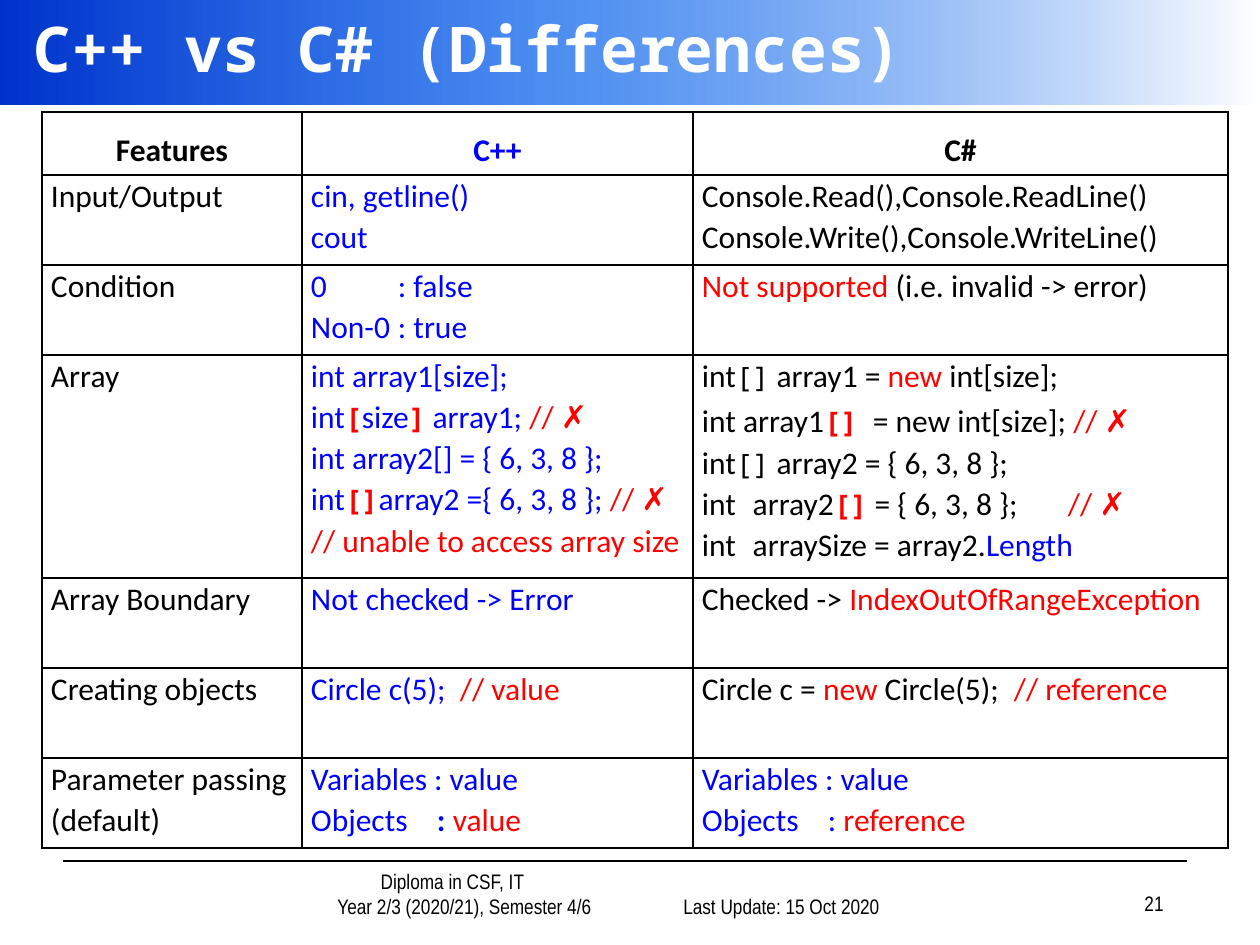
import pptx
import pptx.util
import pptx.dml.color
import pptx.enum.shapes
import pptx.enum.text
import pptx.oxml
import pptx.oxml.ns
from lxml import etree

Pt = pptx.util.Pt
RGB = pptx.dml.color.RGBColor
ALIGN = pptx.enum.text.PP_ALIGN
ANCHOR = pptx.enum.text.MSO_ANCHOR
qn = pptx.oxml.ns.qn
PX = 914400 // 126

BLACK = RGB(0, 0, 0)
WHITE = RGB(255, 255, 255)
BLUE = RGB(0, 0, 255)
RED = RGB(255, 0, 0)
NAVY = RGB(0, 0x33, 0xCC)
AZURE = RGB(0, 0x5E, 0xEB)

# Run styles: font, size, colour, bold
STYLES = {
    "K": ("Calibri", 18, BLACK, False),
    "B": ("Calibri", 18, BLUE, False),
    "R": ("Calibri", 18, RED, False),
    "KB": ("Calibri", 18, BLACK, True),
    "BB": ("Calibri", 18, BLUE, True),
    "K20": ("Calibri", 20, BLACK, False),
    "KM": ("Noto Sans Mono", 16, BLACK, False),
    "RM": ("Noto Sans Mono", 16, RED, True),
    "TITLE": ("Noto Sans Mono", 36, WHITE, True),
    "FOOT": ("Arial Narrow", 12, BLACK, False),
}


def write(para, parts):
    """Fill a paragraph with (style, text) runs."""
    for style, text in parts:
        run = para.add_run()
        run.text = text
        font = run.font
        font.name, size, font.color.rgb, font.bold = STYLES[style]
        font.size = Pt(size)


def label(box, lines, style, align, anchor):
    """Add a text box with one paragraph for each line."""
    frame = slide.shapes.add_textbox(*[n * PX for n in box]).text_frame
    frame.word_wrap = True
    frame.vertical_anchor = anchor
    for i, line in enumerate(lines):
        para = frame.paragraphs[0] if i == 0 else frame.add_paragraph()
        para.alignment = align
        write(para, [(style, line)])
    return frame


deck = pptx.Presentation()
deck.slide_width = 1260 * PX
deck.slide_height = 945 * PX
slide = deck.slides.add_slide(deck.slide_layouts[6])

# Title band
band = slide.shapes.add_shape(
    pptx.enum.shapes.MSO_SHAPE.RECTANGLE, 0, 0, 1260 * PX, 105 * PX)
band.shadow.inherit = False
band.line.fill.background()
band.fill.gradient()
band.fill.gradient_angle = 0
stops = band.fill._fill._gradFill.find(qn("a:gsLst"))
for old in list(stops):
    stops.remove(old)
for pos, color, alpha in [(0, NAVY, 100), (43, AZURE, 70), (100, WHITE, 100)]:
    stop = etree.SubElement(stops, qn("a:gs"), pos=str(pos * 1000))
    tint = etree.SubElement(stop, qn("a:srgbClr"), val=str(color))
    etree.SubElement(tint, qn("a:alpha"), val=str(alpha * 1000))
label((21, 0, 1239, 95), ["C++ vs C# (Differences)"], "TITLE", ALIGN.LEFT, ANCHOR.MIDDLE)

# Footer
rule = slide.shapes.add_connector(
    pptx.enum.shapes.MSO_CONNECTOR.STRAIGHT, 63 * PX, 861 * PX, 1187 * PX, 861 * PX)
rule.line.color.rgb = BLACK
rule.line.width = Pt(1)
etree.SubElement(rule._element.spPr, qn("a:effectLst"))
course = label((212, 872, 418, 53),
               ["Diploma in CSF, IT", "Year 2/3 (2020/21), Semester 4/6"],
               "FOOT", ALIGN.CENTER, ANCHOR.BOTTOM)
for para, indent in zip(course.paragraphs, (63, 87)):
    para._p.get_or_add_pPr().set("marL", str(indent * PX))
label((599, 872, 293, 53), ["Last Update: 15 Oct 2020"], "FOOT", ALIGN.RIGHT, ANCHOR.BOTTOM)
label((914, 869, 262, 53), ["21"], "FOOT", ALIGN.RIGHT, ANCHOR.BOTTOM)

# Table content: rows of cells, cells of lines, lines of runs
BAD = ("R", "// ✗")
ROWS = [
    [[[("KB", "Features")]], [[("BB", "C++")]], [[("KB", "C#")]]],
    [[[("K", "Input/Output")]],
     [[("B", "cin, getline()")], [("B", "cout")]],
     [[("K", "Console.Read(),Console.ReadLine()")],
      [("K", "Console.Write(),Console.WriteLine()")]]],
    [[[("K", "Condition")]],
     [[("B", "0\t: false")], [("B", "Non-0\t: true")]],
     [[("R", "Not supported "), ("K", "(i.e. invalid -> error)")]]],
    [[[("K", "Array")]],
     [[("B", "int array1[size];")],
      [("B", "int"), ("RM", "["), ("B", "size"), ("RM", "]"), ("B", " array1; "), BAD],
      [("B", "int array2[] = { 6, 3, 8 };")],
      [("B", "int"), ("RM", "[]"), ("B", "array2 ={ 6, 3, 8 }; "), BAD],
      [("R", "// unable to access array size")]],
     [[("K", "int"), ("KM", "[]"), ("K", " array1 = "), ("R", "new"), ("K", " int[size];")],
      [("K", "int array1"), ("RM", "[]"), ("K20", "\t"), ("K", "= new int[size]; "), BAD],
      [("K", "int"), ("KM", "[]"), ("K", " array2 = { 6, 3, 8 };")],
      [("K", "int"), ("KM", " "), ("K", "array2"), ("RM", "[]"),
       ("K", " = { 6, 3, 8 };\t"), BAD],
      [("K", "int"), ("KM", " "), ("K", "arraySize = array2."), ("B", "Length")]]],
    [[[("K", "Array Boundary")]],
     [[("B", "Not checked -> Error")]],
     [[("K", "Checked -> "), ("R", "IndexOutOfRangeException")]]],
    [[[("K", "Creating objects")]],
     [[("B", "Circle c(5);\t"), ("R", "// value")]],
     [[("K", "Circle c = "), ("R", "new"), ("K", " Circle(5);\t"), ("R", "// reference")]]],
    [[[("K", "Parameter passing")], [("K", "(default)")]],
     [[("B", "Variables : value")], [("B", "Objects\t"), ("BB", ": "), ("R", "value")]],
     [[("B", "Variables : value")], [("B", "Objects\t: "), ("R", "reference")]]],
]
WIDTHS = [260, 391, 535]
HEIGHTS = [63, 90, 90, 223, 90, 90, 90]
# Tab stops by row and column
TABS = {(2, 1): [87], (3, 2): [171, 366], (5, 1): [149], (5, 2): [312],
        (6, 1): [126], (6, 2): [126]}

# Table
grid = slide.shapes.add_table(len(HEIGHTS), len(WIDTHS), 42 * PX, 112 * PX,
                              sum(WIDTHS) * PX, sum(HEIGHTS) * PX).table
grid.first_row = grid.horz_banding = False
for col, width in zip(grid.columns, WIDTHS):
    col.width = width * PX
for row, height in zip(grid.rows, HEIGHTS):
    row.height = height * PX

for r, row in enumerate(ROWS):
    for c, lines in enumerate(row):
        cell = grid.cell(r, c)
        cell.margin_left = cell.margin_right = 9 * PX
        cell.margin_top = cell.margin_bottom = 0
        props = cell._tc.get_or_add_tcPr()
        for side in ("lnL", "lnR", "lnT", "lnB"):
            edge = etree.SubElement(props, qn("a:" + side), w=str(Pt(1)))
            ink = etree.SubElement(edge, qn("a:solidFill"))
            etree.SubElement(ink, qn("a:srgbClr"), val=str(BLACK))
        cell.fill.background()
        frame = cell.text_frame
        for i, parts in enumerate(lines):
            para = frame.paragraphs[0] if i == 0 else frame.add_paragraph()
            para.alignment = ALIGN.CENTER if r == 0 else ALIGN.LEFT
            para.line_spacing = 1.5 if r == 0 else 1.07
            if r == 0 or i == 4 and c == 2:
                para.space_after = Pt(6)
            write(para, parts)
            if (r, c) in TABS:
                tabs = etree.SubElement(para._p.get_or_add_pPr(), qn("a:tabLst"))
                for stop in TABS[r, c]:
                    etree.SubElement(tabs, qn("a:tab"), pos=str(stop * PX), algn="l")

deck.save("out.pptx")
